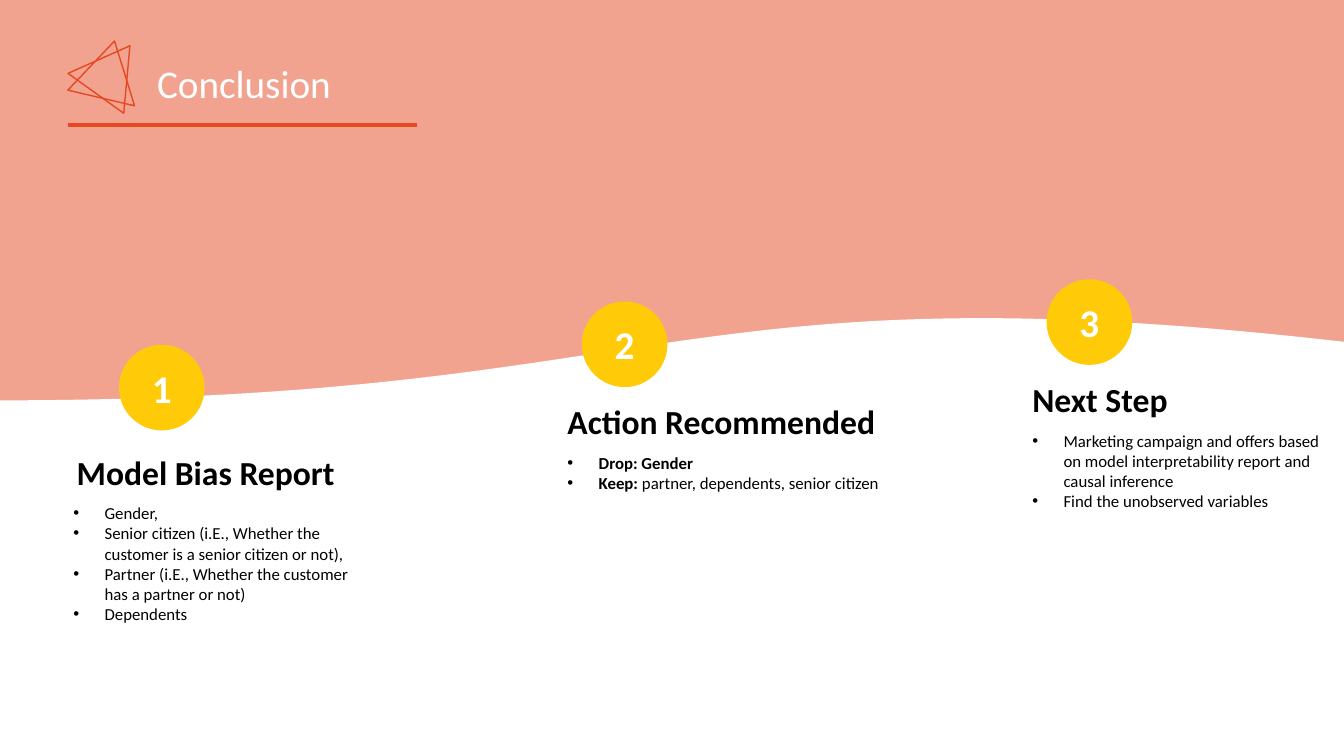
import dataclasses
import typing

import lxml.etree
import pptx
import pptx.dml.color
import pptx.enum.shapes
import pptx.enum.text
import pptx.oxml.ns
import pptx.util

PX = 9144
SLIDE_WIDTH, SLIDE_HEIGHT = 1333, 750
BADGE_SIZE = 85
HEADING_WIDTH, HEADING_HEIGHT = 360, 50
BODY_DROP = 51
BULLET_INDENT = 31

ORANGE, YELLOW, WHITE, BLACK = "E64823", "FFCA08", "FFFFFF", "000000"
SHAPES = pptx.enum.shapes.MSO_SHAPE
LEFT = pptx.enum.text.PP_ALIGN.LEFT
CENTER = pptx.enum.text.PP_ALIGN.CENTER


class Box(typing.NamedTuple):
    left: int
    top: int
    width: int
    height: int


class Run(typing.NamedTuple):
    text: str
    bold: bool = False


@dataclasses.dataclass(frozen=True)
class TextStyle:
    size: int
    color: str
    align: typing.Any = LEFT
    bulleted: bool = False


@dataclasses.dataclass(frozen=True)
class Step:
    number: str
    badge_left: int
    badge_top: int
    heading: str
    heading_left: int
    heading_top: int
    heading_align: typing.Any
    body_left: int
    body_width: int
    body_height: int
    bullets: tuple[tuple[Run, ...], ...]


STEPS = (
    Step("1", 118, 342, "Model Bias Report", 24, 443, CENTER, 63, 303, 131, (
        (Run("Gender,"),),
        (Run("Senior citizen (i.E., Whether the customer is a senior citizen or not),"),),
        (Run("Partner (i.E., Whether the customer has a partner or not)"),),
        (Run("Dependents"),),
    )),
    Step("2", 577, 299, "Action Recommended", 553, 393, LEFT, 553, 352, 50, (
        (Run("Drop: Gender", True),),
        (Run("Keep: ", True), Run("partner, dependents, senior citizen")),
    )),
    Step("3", 1038, 277, "Next Step", 1014, 371, LEFT, 1014, 319, 91, (
        (Run("Marketing campaign and offers based on model interpretability report "
             "and causal inference"),),
        (Run("Find the unobserved variables"),),
    )),
)
LOGO_TRIANGLES = ((Box(78, 40, 68, 58), 35.6), (Box(73, 40, 68, 58), 13.2))


def emu(*lengths: int) -> list[int]:
    return [pptx.util.Emu(length * PX) for length in lengths]


def rgb(color: str) -> pptx.dml.color.RGBColor:
    return pptx.dml.color.RGBColor.from_string(color)


def apply_format(target: typing.Any, values: dict[str, typing.Any]) -> None:
    for name, value in values.items():
        setattr(target, name, value)


def add_figure(slide: typing.Any, kind: typing.Any, box: Box, fill: str | None = None,
               line: str | None = None, rotation: float = 0) -> typing.Any:
    figure = slide.shapes.add_shape(kind, *emu(*box))
    figure.shadow.inherit = False
    figure.rotation = rotation
    if fill:
        figure.fill.solid()
        figure.fill.fore_color.rgb = rgb(fill)
    else:
        figure.fill.background()
    if line:
        figure.line.color.rgb = rgb(line)
        figure.line.width = pptx.util.Pt(1)
    else:
        figure.line.fill.background()
    return figure


def set_alpha(figure: typing.Any, percent: int) -> None:
    color = figure.element.spPr.find(".//" + pptx.oxml.ns.qn("a:srgbClr"))
    alpha = lxml.etree.SubElement(color, pptx.oxml.ns.qn("a:alpha"))
    alpha.set("val", str(percent * 1000))


def add_bullet(paragraph: typing.Any) -> None:
    properties = paragraph._p.get_or_add_pPr()
    indent = emu(BULLET_INDENT)[0]
    properties.set("marL", str(indent))
    properties.set("indent", str(-indent))
    font = lxml.etree.SubElement(properties, pptx.oxml.ns.qn("a:buFont"))
    font.set("typeface", "Arial")
    bullet = lxml.etree.SubElement(properties, pptx.oxml.ns.qn("a:buChar"))
    bullet.set("char", "•")


def write_text(frame: typing.Any, lines: tuple[tuple[Run, ...], ...],
               style: TextStyle) -> None:
    frame.word_wrap = True
    for index, line in enumerate(lines):
        paragraph = frame.add_paragraph() if index else frame.paragraphs[0]
        paragraph.alignment = style.align
        if style.bulleted:
            add_bullet(paragraph)
        for part in line:
            run = paragraph.add_run()
            run.text = part.text
            run.font.color.rgb = rgb(style.color)
            apply_format(run.font, {
                "name": "Calibri",
                "size": pptx.util.Pt(style.size),
                "bold": part.bold,
            })


def add_text(slide: typing.Any, box: Box, lines: tuple[tuple[Run, ...], ...],
             style: TextStyle) -> None:
    frame = slide.shapes.add_textbox(*emu(*box)).text_frame
    write_text(frame, lines, style)
    frame.auto_size = pptx.enum.text.MSO_AUTO_SIZE.SHAPE_TO_FIT_TEXT


def add_title_rule(slide: typing.Any) -> None:
    rule = slide.shapes.add_connector(
        pptx.enum.shapes.MSO_CONNECTOR.STRAIGHT, *emu(67, 124, 414, 124))
    rule.line.color.rgb = rgb(ORANGE)
    rule.line.width = pptx.util.Pt(3)
    lxml.etree.SubElement(rule.element.spPr, pptx.oxml.ns.qn("a:effectLst"))


def add_step(slide: typing.Any, step: Step) -> None:
    badge = add_figure(slide, SHAPES.OVAL,
                       Box(step.badge_left, step.badge_top, BADGE_SIZE, BADGE_SIZE), YELLOW)
    badge.text_frame.vertical_anchor = pptx.enum.text.MSO_ANCHOR.MIDDLE
    write_text(badge.text_frame, ((Run(step.number, True),),), TextStyle(28, WHITE, CENTER))
    add_text(slide, Box(step.heading_left, step.heading_top, HEADING_WIDTH, HEADING_HEIGHT),
             ((Run(step.heading, True),),), TextStyle(24, BLACK, step.heading_align))
    add_text(slide, Box(step.body_left, step.heading_top + BODY_DROP,
                        step.body_width, step.body_height),
             step.bullets, TextStyle(12, BLACK, bulleted=True))


def main() -> None:
    deck = pptx.Presentation()
    deck.slide_width, deck.slide_height = emu(SLIDE_WIDTH, SLIDE_HEIGHT)
    slide = deck.slides.add_slide(deck.slide_layouts[6])
    backdrop = add_figure(slide, SHAPES.RECTANGLE, Box(-2, 0, 1335, 750), ORANGE)
    set_alpha(backdrop, 50)
    for box, rotation in LOGO_TRIANGLES:
        add_figure(slide, SHAPES.ISOSCELES_TRIANGLE, box, line=ORANGE, rotation=rotation)
    add_title_rule(slide)
    add_figure(slide, SHAPES.FLOWCHART_DOCUMENT, Box(-2, 310, 1335, 440), WHITE, rotation=180)
    add_text(slide, Box(146, 54, 360, 57), ((Run("Conclusion"),),), TextStyle(28, WHITE))
    for step in STEPS:
        add_step(slide, step)
    deck.save("out.pptx")


if __name__ == "__main__":
    main()
